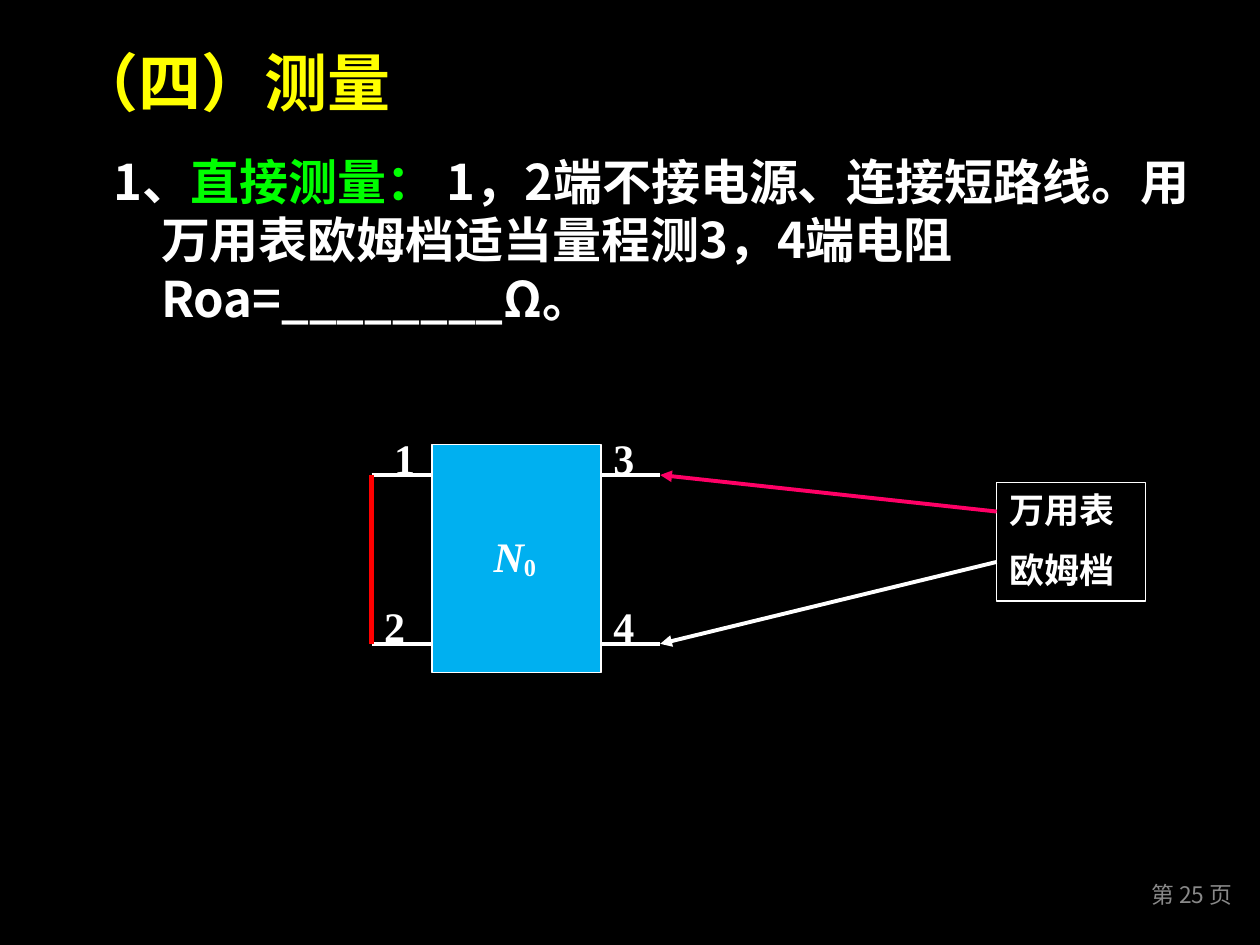
from lxml.etree import SubElement
from pptx import Presentation
from pptx.dml.color import RGBColor
from pptx.enum.shapes import MSO_CONNECTOR, MSO_SHAPE
from pptx.enum.text import MSO_ANCHOR, MSO_AUTO_SIZE, PP_ALIGN
from pptx.oxml.ns import qn
from pptx.util import Inches, Pt

CHINESE, LATIN, SERIF = "Noto Sans CJK SC", "Arial", "Times New Roman"
WHITE, YELLOW, GREEN, BLUE = "FFFFFF", "FFFF00", "00FF00", "00B0F0"
RED, PINK, GRAY, BLACK = "FF0000", "FF0066", "898989", "000000"


def color(value):
    """Turn a hex string into a colour."""
    return RGBColor.from_string(value)


def add_text(paragraph, text, font=CHINESE, size=28, fill=WHITE, bold=True, italic=False, baseline=0):
    """Append a formatted run to a paragraph."""
    run = paragraph.add_run()
    run.text = text
    run.font.name, run.font.size = font, Pt(size)
    run.font.bold, run.font.italic = bold, italic
    run.font.color.rgb = color(fill)
    properties = run.font._element
    SubElement(properties, qn("a:ea"), typeface=CHINESE if font == LATIN else font)
    if baseline:
        properties.set("baseline", str(baseline * 1000))


class SlideBuilder:
    """Hold the style and the current slide."""

    def __init__(self, presentation):
        """Add a title-only slide with a black background."""
        self.slide = presentation.slides.add_slide(presentation.slide_layouts[5])
        self.slide.background.fill.solid()
        self.slide.background.fill.fore_color.rgb = color(BLACK)

    def place(self, shape, box):
        """Set the position and size of a shape."""
        shape.left, shape.top, shape.width, shape.height = map(Inches, box)

    def frame(self, shape, anchor=MSO_ANCHOR.TOP, align=PP_ALIGN.LEFT):
        """Prepare a text frame and return its first paragraph."""
        frame = shape.text_frame
        frame.word_wrap, frame.auto_size = True, MSO_AUTO_SIZE.NONE
        frame.vertical_anchor = anchor
        frame.paragraphs[0].alignment = align
        return frame.paragraphs[0]

    def title(self, text, box):
        """Fill the title placeholder."""
        shape = self.slide.shapes.title
        self.place(shape, box)
        add_text(self.frame(shape, MSO_ANCHOR.MIDDLE), text, size=36, fill=YELLOW)

    def text(self, box, **layout):
        """Add a text box and return its first paragraph."""
        return self.frame(self.slide.shapes.add_textbox(*map(Inches, box)), **layout)

    def rectangle(self, box, fill=None):
        """Add a rectangle with a thin white outline."""
        shape = self.slide.shapes.add_shape(MSO_SHAPE.RECTANGLE, *map(Inches, box))
        shape.shadow.inherit = False
        if fill:
            shape.fill.solid()
            shape.fill.fore_color.rgb = color(fill)
        else:
            shape.fill.background()
        shape.line.color.rgb, shape.line.width = color(WHITE), Pt(0.75)
        return shape

    def line(self, start, end, stroke=WHITE, width=2.25, arrow=False):
        """Add a straight line, with an arrowhead at its end if asked."""
        points = map(Inches, (*start, *end))
        connector = self.slide.shapes.add_connector(MSO_CONNECTOR.STRAIGHT, *points)
        connector.line.color.rgb, connector.line.width = color(stroke), Pt(width)
        if arrow:
            SubElement(connector.line._get_or_add_ln(), qn("a:tailEnd"), type="triangle")
        SubElement(connector._element.spPr, qn("a:effectLst"))


def build_measurement(builder):
    """Draw the direct measurement slide."""
    builder.title("（四）测量", (0.5, 0.3, 9, 0.69))

    instruction = builder.text((0.8, 1.15, 9, 1.46))
    instruction._p.get_or_add_pPr().set("marL", str(Inches(0.38)))
    instruction._p.get_or_add_pPr().set("indent", str(Inches(-0.38)))
    instruction.space_before = Pt(5.6)
    add_text(instruction, "1、")
    add_text(instruction, "直接测量： ", fill=GREEN)
    add_text(instruction, "1，2端不接电源、连接短路线。用万用表欧姆档适当量程测3，4端电阻 Roa=________Ω。")

    outer_left, left, right, outer_right = 2.95, 3.43, 4.77, 5.24
    upper, lower = 3.77, 5.11

    meter = builder.rectangle((7.91, 3.83, 1.18, 0.94))
    paragraph = builder.frame(meter)
    add_text(paragraph, "万用表", font=LATIN, size=20)
    paragraph = meter.text_frame.add_paragraph()
    paragraph.alignment, paragraph.space_before = PP_ALIGN.LEFT, Pt(10)
    add_text(paragraph, "欧姆档", font=LATIN, size=20)
    for probe, terminal, stroke in ((4.06, upper, PINK), (4.46, lower, WHITE)):
        builder.line((7.91, probe), (outer_right, terminal), stroke, arrow=True)

    builder.rectangle((left, 3.53, right - left, 1.81), BLUE)
    terminals = (
        ("1", 3.03, outer_left, left, upper),
        ("2", outer_left, outer_left, left, lower),
        ("3", right, right, outer_right, upper),
        ("4", right, right, outer_right, lower),
    )
    for label, label_left, start, end, height in terminals:
        builder.line((start, height), (end, height))
        paragraph = builder.text((label_left, height - 0.39, 0.47, 0.5))
        add_text(paragraph, label, font=SERIF, size=24)

    network = builder.text((3.82, 4.16, 0.63, 0.5))
    add_text(network, "N", font=SERIF, size=24, italic=True)
    add_text(network, "0", font=SERIF, size=24, baseline=-10)
    builder.line((outer_left, upper), (outer_left, lower), RED, 3)

    page = builder.text((8.92, 6.94, 1.08, 0.32), anchor=MSO_ANCHOR.MIDDLE, align=PP_ALIGN.CENTER)
    add_text(page, "第 25 页", size=13, fill=GRAY, bold=False)


presentation = Presentation()
presentation.slide_width, presentation.slide_height = Inches(10), Inches(7.5)
build_measurement(SlideBuilder(presentation))
presentation.save("out.pptx")
